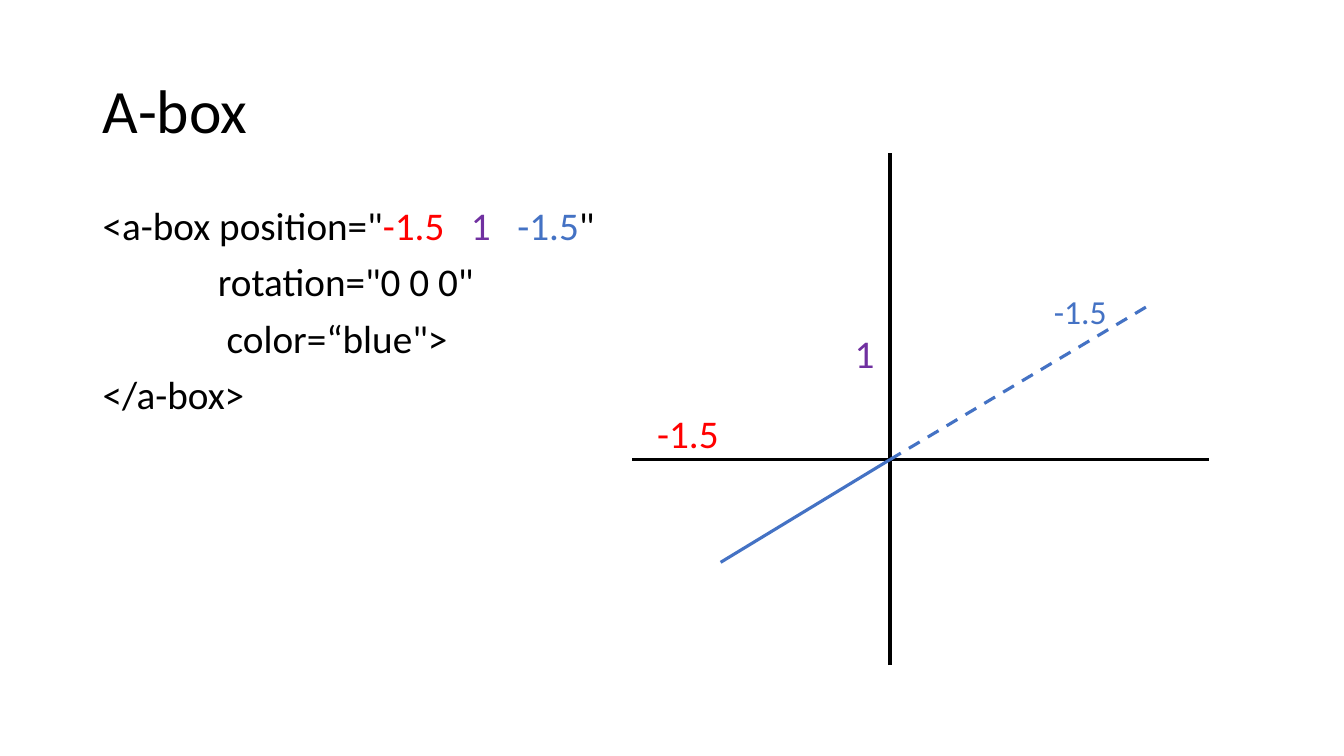
from dataclasses import dataclass
from typing import Any

from lxml import etree
from pptx import Presentation
from pptx import util as u
from pptx.dml import color
from pptx.enum import dml, shapes, text
from pptx.oxml import ns

BLACK, RED, PURPLE, BLUE = "000000", "FF0000", "7030A0", "4472C4"
FONT = "Calibri"
MARGIN, CONTENT_WIDTH = 2.34, 29.21
ORIGIN_X, ORIGIN_Y = 22.43, 11.58


@dataclass
class Span:
    wording: str
    colour: str = BLACK


@dataclass
class Label:
    area: tuple[float, float, float, float]
    size: float
    lines: list[list[Span]]
    wrap: bool = False
    line_spacing: float = 1.0
    gap: float = 0


@dataclass
class Axis:
    start: tuple[float, float]
    end: tuple[float, float]
    colour: str = BLACK
    dashed: bool = False


def rgb(value: str) -> color.RGBColor:
    return color.RGBColor.from_string(value)


def apply(target: Any, values: dict[str, Any]) -> None:
    for name, value in values.items():
        setattr(target, name, value)


def fill_text(box: Any, label: Label, anchor: text.MSO_ANCHOR) -> None:
    left, top, width, height = map(u.Cm, label.area)
    apply(box, {"left": left, "top": top, "width": width, "height": height})
    frame = box.text_frame
    apply(frame, {
        "word_wrap": label.wrap,
        "auto_size": text.MSO_AUTO_SIZE.NONE if label.wrap
        else text.MSO_AUTO_SIZE.SHAPE_TO_FIT_TEXT,
        "vertical_anchor": anchor,
    })
    for index, line in enumerate(label.lines):
        para = frame.add_paragraph() if index else frame.paragraphs[0]
        apply(para, {
            "alignment": text.PP_ALIGN.LEFT,
            "line_spacing": label.line_spacing,
            "space_before": u.Pt(label.gap if index else 0),
        })
        for span in line:
            run = para.add_run()
            run.text = span.wording
            apply(run.font, {"name": FONT, "size": u.Pt(label.size)})
            run.font.color.rgb = rgb(span.colour)


def draw_label(page: Any, label: Label) -> None:
    box = page.shapes.add_textbox(*map(u.Cm, label.area))
    fill_text(box, label, text.MSO_ANCHOR.TOP)


def draw_axis(page: Any, axis: Axis) -> None:
    line = page.shapes.add_connector(
        shapes.MSO_CONNECTOR.STRAIGHT, *map(u.Cm, axis.start + axis.end))
    line.line.color.rgb = rgb(axis.colour)
    line.line.width = u.Pt(2.25)
    if axis.dashed:
        line.line.dash_style = dml.MSO_LINE.DASH
    etree.SubElement(line._element.spPr, ns.qn("a:effectLst"))


TITLE = Label((MARGIN, 1.02, CONTENT_WIDTH, 3.68), 44, [[Span("A-box")]],
              wrap=True, line_spacing=0.9)

CODE = Label((MARGIN, 5.08, CONTENT_WIDTH, 12.09), 28, [
    [Span('<a-box position="'), Span("-1.5   ", RED), Span("1   ", PURPLE),
     Span("-1.5", BLUE), Span('"')],
    [Span('             rotation="0 0 0"')],
    [Span('              color=“blue">')],
    [Span("</a-box>")],
], wrap=True, line_spacing=0.9, gap=10)

AXES = [
    Axis((15.93, ORIGIN_Y), (30.48, ORIGIN_Y)),
    Axis((ORIGIN_X, 16.76), (ORIGIN_X, 3.86)),
    Axis((18.16, 14.17), (ORIGIN_X, ORIGIN_Y), BLUE),
    Axis((ORIGIN_X, ORIGIN_Y), (28.91, 7.72), BLUE, dashed=True),
]

COORDINATES = [
    Label((26.31, 7.21, 1.85, 1.27), 24, [[Span("-1.5", BLUE)]]),
    Label((16.31, 10.19, 2.08, 1.45), 28, [[Span("-1.5", RED)]]),
    Label((21.29, 8.18, 1.02, 1.45), 28, [[Span("1", PURPLE)]]),
]


def main() -> None:
    deck = Presentation()
    apply(deck, {"slide_width": u.Cm(33.87), "slide_height": u.Cm(19.05)})
    page = deck.slides.add_slide(deck.slide_layouts.get_by_name("Title Only"))
    fill_text(page.shapes.title, TITLE, text.MSO_ANCHOR.MIDDLE)
    draw_label(page, CODE)
    for axis in AXES:
        draw_axis(page, axis)
    for label in COORDINATES:
        draw_label(page, label)
    deck.save("out.pptx")


if __name__ == "__main__":
    main()
